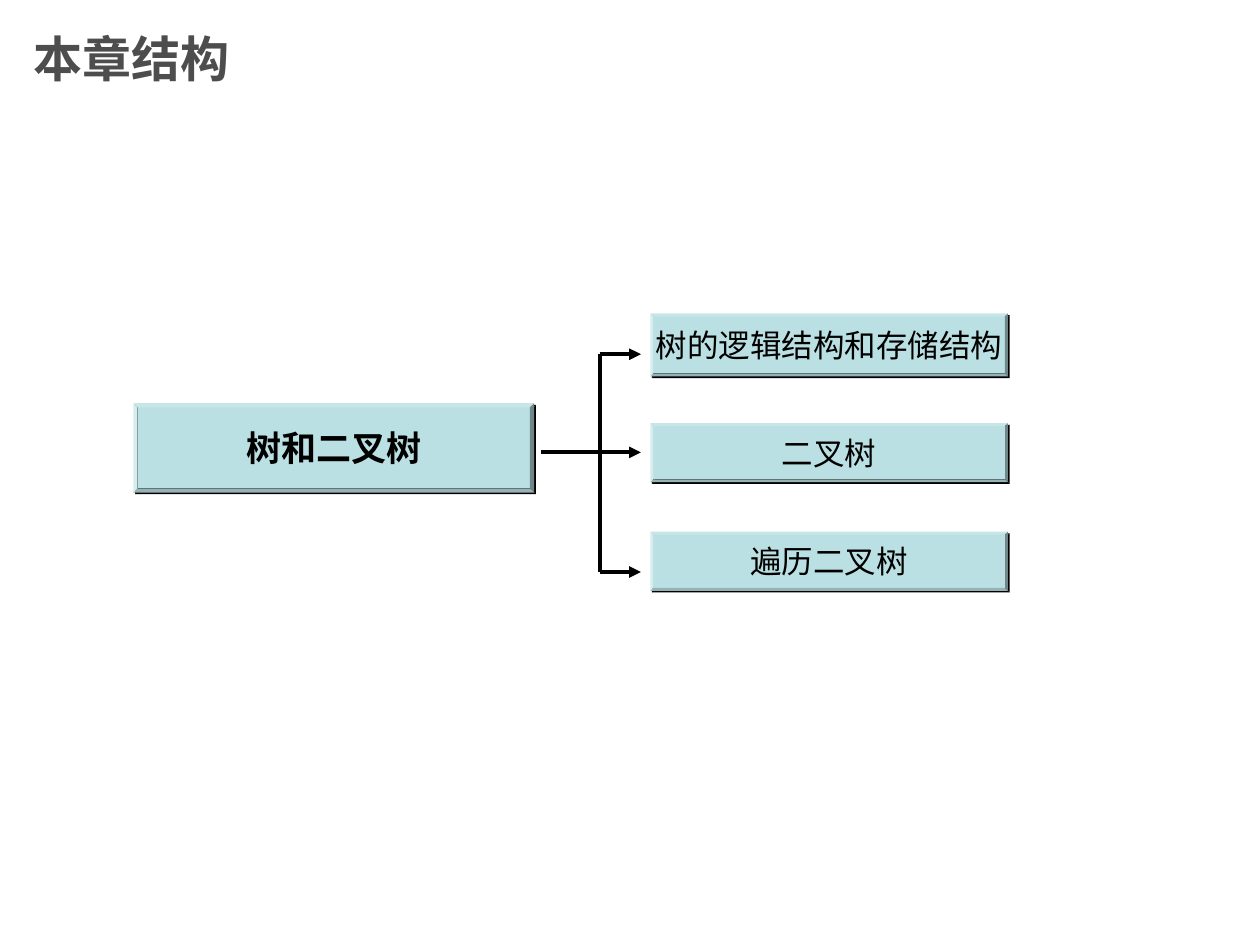
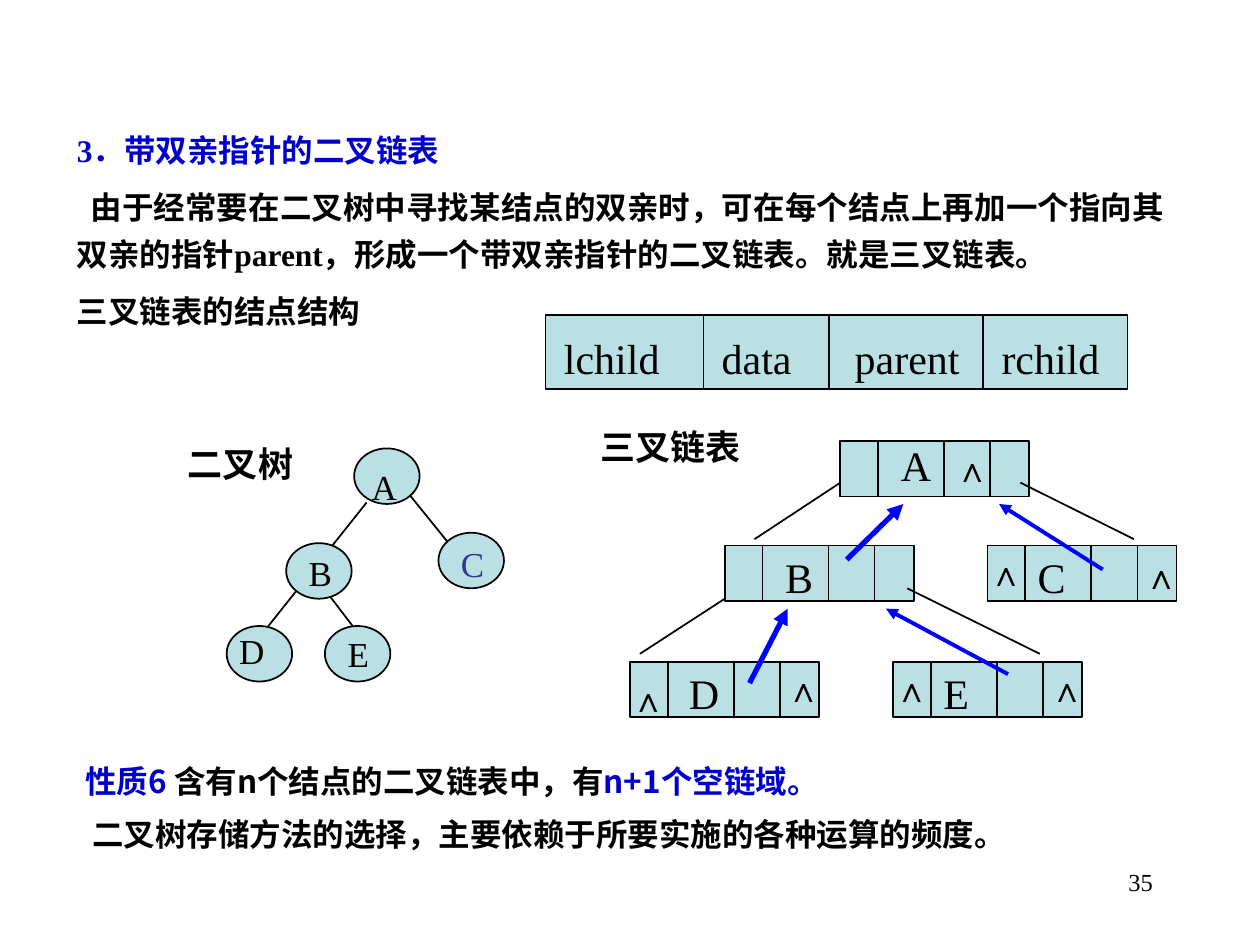
import pptx
import pptx.util
import pptx.dml.color
import pptx.enum.shapes
import pptx.enum.text
import pptx.oxml
import pptx.oxml.ns
from lxml import etree

Cm = pptx.util.Cm
Pt = pptx.util.Pt
SHAPES = pptx.enum.shapes.MSO_SHAPE
ALIGN = pptx.enum.text.PP_ALIGN
MIDDLE = pptx.enum.text.MSO_ANCHOR.MIDDLE
qn = pptx.oxml.ns.qn

BLACK = "000000"
TEAL = "BBE0E3"
TITLE_GREY = "4D4D4D"
HEADING_BLUE = "0000CC"
ARROW_BLUE = "0000FF"
INDIGO = "333399"
SERIF = "Times New Roman"
SANS = "Noto Sans CJK SC"

NODE_WIDTH, NODE_HEIGHT = 3.81, 1.12
NODE_DIVIDERS = (0.76, 2.09, 3.02)
CARET_OFFSETS = {"left": -0.23, "parent": 2.06, "right": 2.9}
CIRCLE_WIDTH, CIRCLE_HEIGHT = 1.32, 1.12


def color(value):
    return pptx.dml.color.RGBColor.from_string(value)


def add_run(paragraph, text, size, font=SERIF, fill=BLACK, bold=False):
    run = paragraph.add_run()
    run.text = text
    run.font.size = Pt(size)
    run.font.name = font
    run.font.bold = bold
    run.font.color.rgb = color(fill)
    east_asian = etree.SubElement(run.font._element, qn("a:ea"))
    east_asian.set("typeface", SANS)


def add_text_frame(slide, left, top, width, height):
    box = slide.shapes.add_textbox(Cm(left), Cm(top), Cm(width), Cm(height))
    box.text_frame.word_wrap = True
    return box.text_frame


def add_label(slide, text, left, top, size, width=CIRCLE_WIDTH, align=ALIGN.LEFT, **style):
    paragraph = add_text_frame(slide, left, top, width, 1.12).paragraphs[0]
    paragraph.alignment = align
    add_run(paragraph, text, size, **style)


def add_title(slide, text):
    title = slide.shapes.title
    title.left, title.top, title.width, title.height = Cm(0.43), Cm(0), Cm(19.05), Cm(2.34)
    title.text_frame.vertical_anchor = MIDDLE
    paragraph = title.text_frame.paragraphs[0]
    paragraph.alignment = ALIGN.LEFT
    add_run(paragraph, text, 28, "Arial", TITLE_GREY, True)


def add_filled_shape(slide, kind, left, top, width, height, outlined=True):
    shape = slide.shapes.add_shape(kind, Cm(left), Cm(top), Cm(width), Cm(height))
    shape.shadow.inherit = False
    shape.fill.solid()
    shape.fill.fore_color.rgb = color(TEAL)
    if outlined:
        shape.line.color.rgb = color(BLACK)
        shape.line.width = Pt(1)
    else:
        shape.line.fill.background()
    return shape


def add_bevel(slide, text, left, top, width, height, size, font=SANS, bold=False):
    shape = add_filled_shape(slide, SHAPES.BEVEL, left, top, width, height, False)
    shape.adjustments[0] = 0.047
    effects = shape.element.spPr.find(qn("a:effectLst"))
    shadow = etree.SubElement(effects, qn("a:outerShdw"), blurRad="0",
                              dist=str(Pt(1.4)), dir="2700000", algn="ctr", rotWithShape="0")
    etree.SubElement(shadow, qn("a:srgbClr"), val=BLACK)
    frame = shape.text_frame
    frame.word_wrap = False
    frame.vertical_anchor = MIDDLE
    paragraph = frame.paragraphs[0]
    paragraph.alignment = ALIGN.CENTER
    add_run(paragraph, text, size, font, bold=bold)


def add_line(slide, x1, y1, x2, y2, fill=BLACK, width=1, arrow=False):
    connector = slide.shapes.add_connector(
        pptx.enum.shapes.MSO_CONNECTOR.STRAIGHT, Cm(x1), Cm(y1), Cm(x2), Cm(y2))
    connector.line.color.rgb = color(fill)
    connector.line.width = Pt(width)
    properties = connector.element.spPr
    if arrow:
        etree.SubElement(properties.find(qn("a:ln")), qn("a:tailEnd"), type="triangle")
    etree.SubElement(properties, qn("a:effectLst"))


def add_divided_box(slide, left, top, width, height, dividers):
    add_filled_shape(slide, SHAPES.RECTANGLE, left, top, width, height)
    for offset in dividers:
        add_line(slide, left + offset, top, left + offset, top + height)


def add_list_node(slide, letter, left, top, letter_dx, letter_dy, carets):
    add_divided_box(slide, left, top, NODE_WIDTH, NODE_HEIGHT, NODE_DIVIDERS)
    add_label(slide, letter, left + letter_dx, top + letter_dy, 24)
    for slot, caret_dy in carets.items():
        add_label(slide, "∧", left + CARET_OFFSETS[slot], top + caret_dy, 20, bold=True)


def add_tree_node(slide, letter, left, top, letter_dx, letter_dy, fill=BLACK):
    add_filled_shape(slide, SHAPES.OVAL, left, top, CIRCLE_WIDTH, CIRCLE_HEIGHT)
    add_label(slide, letter, left + letter_dx, top + letter_dy, 20, fill=fill)


def fill_paragraph(paragraph, runs, before=0, indent=0, spacing=1.0, align=ALIGN.LEFT):
    paragraph.alignment = align
    paragraph.line_spacing = spacing
    paragraph.space_before = Pt(before)
    if indent:
        paragraph._p.get_or_add_pPr().set("indent", str(Cm(indent)))
    for text, font, fill in runs:
        add_run(paragraph, text, 18, font, fill, True)


def build_structure_slide(presentation):
    slide = presentation.slides.add_slide(presentation.slide_layouts[5])
    add_title(slide, "本章结构")
    add_bevel(slide, "树和二叉树", 2.69, 8.13, 8.08, 1.8, 20, bold=True)
    for text, top, height, font in (
        ("树的逻辑结构和存储结构", 6.32, 1.27, "Arial Narrow"),
        ("二叉树", 8.53, 1.19, SANS),
        ("遍历二叉树", 10.72, 1.19, SANS),
    ):
        add_bevel(slide, text, 13.11, top, 7.21, height, 18, font)
    trunk = 12.09
    branches = (7.14, 9.12, 11.53)
    add_line(slide, trunk, branches[0], trunk, branches[-1], width=2.25)
    add_line(slide, 10.9, branches[1], trunk, branches[1], width=2.25)
    for branch in branches:
        add_line(slide, trunk, branch, 12.92, branch, width=2.25, arrow=True)


def add_explanation(slide):
    frame = add_text_frame(slide, 1.3, 2.51, 22.43, 4.29)
    fill_paragraph(frame.paragraphs[0], [("3．带双亲指针的二叉链表", SERIF, HEADING_BLUE)],
                   align=ALIGN.JUSTIFY)
    fill_paragraph(frame.add_paragraph(), [
        ("由于经常要在二叉树中寻找某结点的双亲时，可在每个结点上再加一个指向其双亲的指针", SANS, BLACK),
        ("parent", SERIF, BLACK),
        ("，形成一个带双亲指针的二叉链表。就是三叉链表。", SANS, BLACK),
    ], before=5.6, indent=0.28, spacing=1.25, align=ALIGN.JUSTIFY)
    fill_paragraph(frame.add_paragraph(), [("三叉链表的结点结构", SANS, BLACK)],
                   before=11.2, align=ALIGN.JUSTIFY)


def add_property(slide):
    frame = add_text_frame(slide, 1.47, 15.24, 22.86, 2.08)
    fill_paragraph(frame.paragraphs[0], [
        ("性质6 ", SANS, HEADING_BLUE),
        ("含有n个结点的二叉链表中，有", SANS, BLACK),
        ("n+1个空链域。", SANS, HEADING_BLUE),
    ])
    fill_paragraph(frame.add_paragraph(), [
        ("二叉树存储方法的选择，主要依赖于所要实施的各种运算的频度。", SANS, BLACK),
    ], before=4.5, indent=0.14, spacing=1.2)


def add_node_structure(slide):
    add_divided_box(slide, 11, 6.35, 11.73, 1.5, (3.18, 5.71, 8.81))
    for field, left in (("lchild", 11.12), ("data", 14.3), ("parent", 16.98), ("rchild", 19.94)):
        add_label(slide, field, left, 6.58, 24, width=2.8)


def add_binary_tree(slide):
    add_label(slide, "二叉树", 3.54, 8.79, 20, width=3.5, bold=True)
    for edge in (
        (8.26, 9.98, 9.02, 10.92),
        (7.39, 10.13, 5.41, 12.62),
        (6.55, 11.89, 7.11, 12.62),
    ):
        add_line(slide, *edge)
    for node in (
        ("A", 7.14, 9.04, 0.1, 0.21),
        ("B", 5.77, 10.95, 0.2, 0.05),
        ("C", 8.84, 10.74, 0.2, 0.08, INDIGO),
        ("D", 4.57, 12.62, 0, -0.05),
        ("E", 6.55, 12.62, 0.21, 0),
    ):
        add_tree_node(slide, *node)


def add_triple_linked_list(slide):
    add_label(slide, "三叉链表", 11.86, 8.46, 20, width=4.24, bold=True)
    for node in (
        ("A", 16.94, 8.89, 0.97, -0.15, {"parent": 0}),
        ("B", 14.61, 11, 0.97, 0, {}),
        ("C", 19.91, 11, 0.76, 0, {"left": 0, "right": 0.05}),
        ("D", 12.7, 13.34, 0.94, 0, {"left": 0.2, "right": 0}),
        ("E", 18.01, 13.34, 0.76, 0, {"left": 0, "right": 0}),
    ):
        add_list_node(slide, *node)
    for child_link in (
        (16.94, 9.73, 15.21, 10.87),
        (20.57, 9.73, 22.86, 10.87),
        (14.61, 12.07, 12.9, 13.18),
        (18.29, 11.86, 20.96, 13.18),
    ):
        add_line(slide, *child_link)
    for *parent_link, width in (
        (22.23, 11.48, 20.14, 10.16, 2.25),
        (20.32, 13.59, 17.86, 12.27, 2.25),
        (17.07, 11.28, 18.21, 10.16, 3),
        (15.11, 13.77, 15.88, 12.27, 3),
    ):
        add_line(slide, *parent_link, fill=ARROW_BLUE, width=width, arrow=True)


def build_linked_list_slide(presentation):
    slide = presentation.slides.add_slide(presentation.slide_layouts[6])
    add_explanation(slide)
    add_node_structure(slide)
    add_binary_tree(slide)
    add_triple_linked_list(slide)
    add_property(slide)
    add_label(slide, "35", 18.21, 17.35, 14, width=5.28, align=ALIGN.RIGHT)


def main():
    presentation = pptx.Presentation()
    presentation.slide_width = Cm(25.4)
    presentation.slide_height = Cm(19.05)
    build_structure_slide(presentation)
    build_linked_list_slide(presentation)
    presentation.save("out.pptx")


if __name__ == "__main__":
    main()
